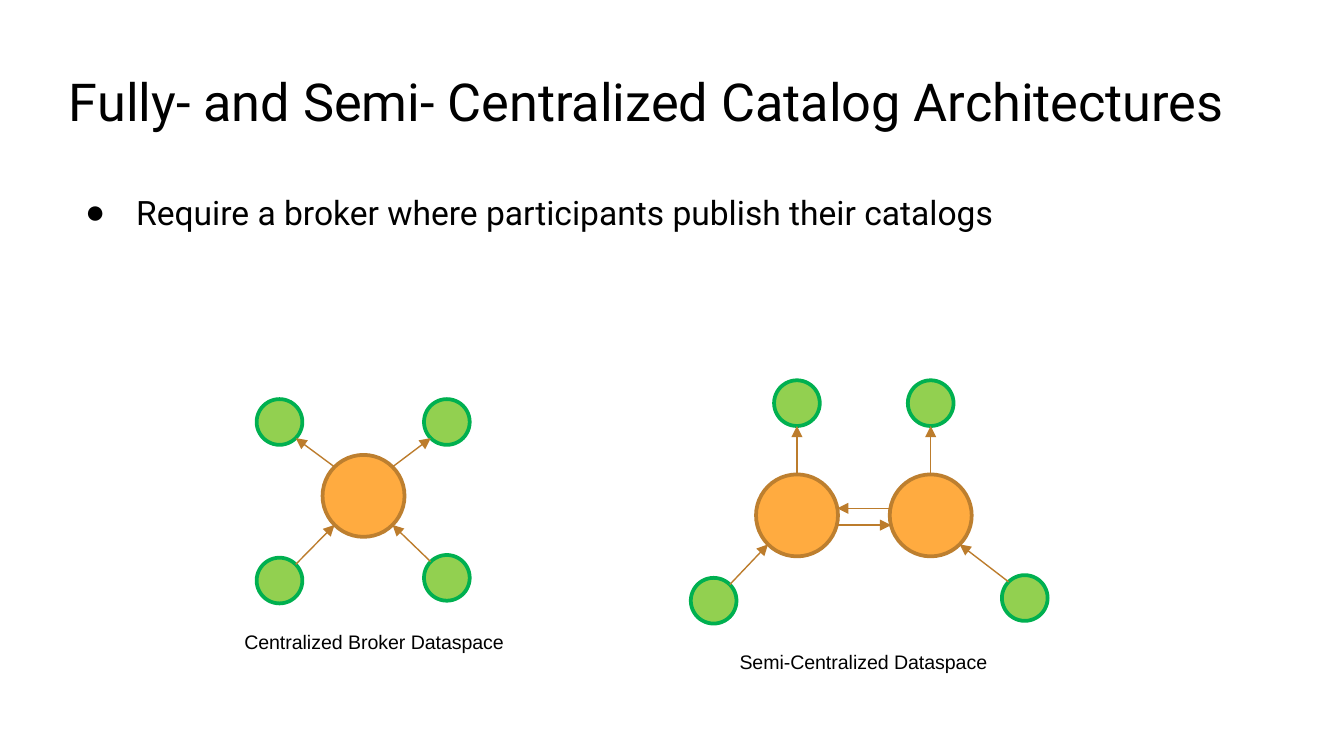
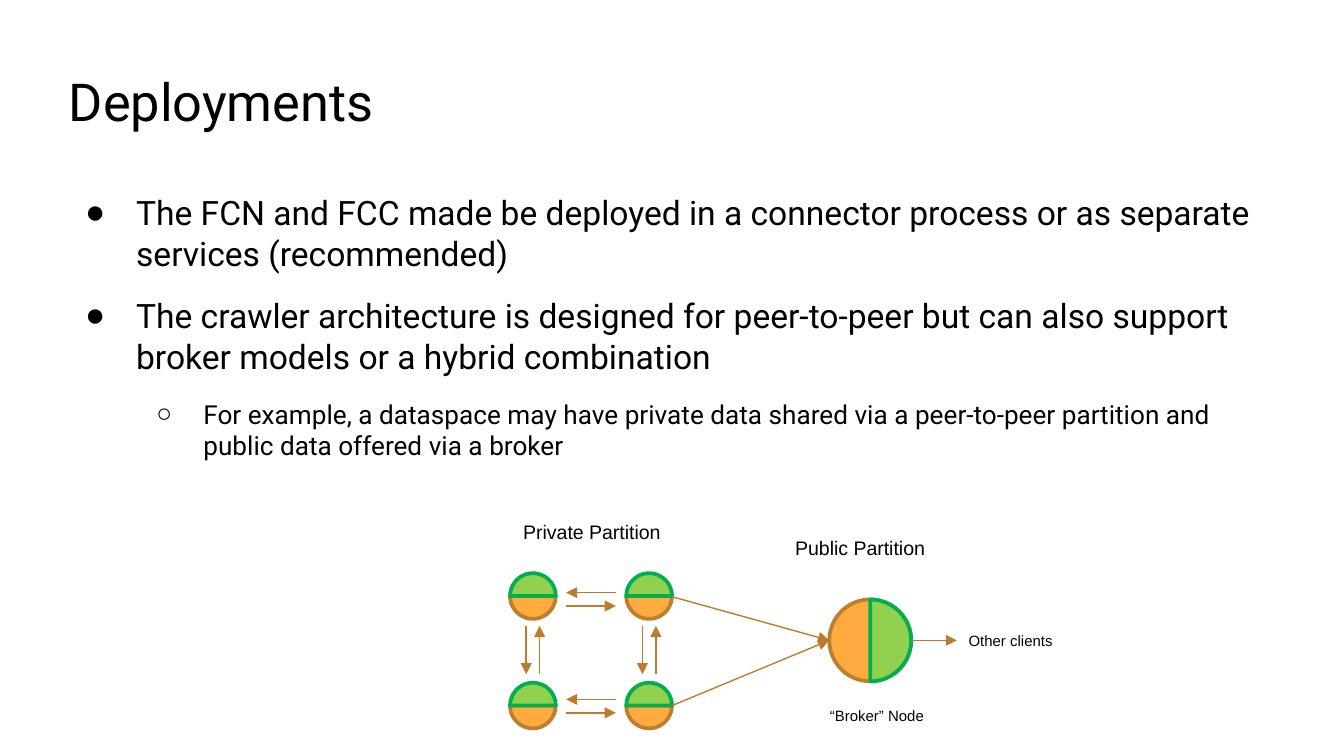
from dataclasses import dataclass
from math import sqrt

from pptx import Presentation
from pptx.dml.color import RGBColor
from pptx.enum.shapes import MSO_CONNECTOR as Connector, MSO_SHAPE as Shape
from pptx.enum.text import MSO_ANCHOR as Anchor, MSO_AUTO_SIZE as AutoSize, PP_ALIGN as Align
from pptx.oxml.ns import qn
from pptx.util import Inches, Pt
from lxml.etree import SubElement

COLORS = {
    "text": "000000",
    "background": "FFFFFF",
    "broker": "FFAB40",
    "broker_line": "BD7F2F",
    "participant": "92D050",
    "participant_line": "00B050",
    "arrow": "BC7C2C",
}
SLIDE_WIDTH, SLIDE_HEIGHT = 10, 5.625
CELL = SLIDE_WIDTH / 100
PARTICIPANT_SIZE, BROKER_SIZE = 3.4, 6.1
HALF_CIRCLE = 108
TITLE_BOX = (4.13, 4.15, 91.7, 3)
BODY_BOX = (4.15, 13.3, 91.7, 38.7)
LEVELS = [
    {"bullet": "\u25cf", "size": 18, "margin": 0.5, "indent": -0.38},
    {"bullet": "\u25cb", "size": 14, "margin": 1, "indent": -0.35},
]


def cells(*lengths):
    return [Inches(length * CELL) for length in lengths]


def color(name):
    return RGBColor.from_string(COLORS[name])


def set_values(target, values):
    for name, value in values.items():
        setattr(target, name, value)


def style_font(font, name, size):
    set_values(font, {"name": name, "size": Pt(size), "bold": False})
    font.color.rgb = color("text")


@dataclass
class Diagram:
    shapes: object
    left: float
    top: float

    def place(self, point):
        return self.left + point[0], self.top + point[1]

    def node(self, center, size, kind, preset=Shape.OVAL, rotation=0):
        x, y = self.place(center)
        shape = self.shapes.add_shape(preset, *cells(x - size / 2, y - size / 2, size, size))
        if preset == Shape.PIE:
            shape.adjustments[0] = 0
            shape.adjustments[1] = HALF_CIRCLE
        shape.rotation = rotation
        shape.shadow.inherit = False
        shape.fill.solid()
        shape.fill.fore_color.rgb = color(kind)
        shape.line.color.rgb = color(kind + "_line")
        shape.line.width = Pt(2)

    def broker(self, center):
        self.node(center, BROKER_SIZE, "broker")

    def participant(self, center):
        self.node(center, PARTICIPANT_SIZE, "participant")

    def peer(self, center):
        self.node(center, PARTICIPANT_SIZE, "broker", Shape.PIE)
        self.node(center, PARTICIPANT_SIZE, "participant", Shape.PIE, 180)

    def arrow(self, start, end):
        ends = cells(*self.place(start), *self.place(end))
        connector = self.shapes.add_connector(Connector.STRAIGHT, *ends)
        connector.line.color.rgb = color("arrow")
        connector.line.width = Pt(0.75)
        SubElement(connector.line._get_or_add_ln(), qn("a:tailEnd"), type="triangle")
        SubElement(connector._element.spPr, qn("a:effectLst"))

    def spoke(self, broker, participant, outward):
        steps = [(b > a) - (b < a) for a, b in zip(broker, participant)]
        reach = 1 / sqrt(sum(abs(step) for step in steps)) / 2
        inner = [a + step * reach * BROKER_SIZE for a, step in zip(broker, steps)]
        outer = [b - step * reach * PARTICIPANT_SIZE for b, step in zip(participant, steps)]
        self.arrow(*((inner, outer) if outward else (outer, inner)))

    def exchange(self, center, length, gap, vertical=False):
        x, y = center
        for side in (-1, 1):
            shift = side * gap / 2
            run = side * length / 2
            if vertical:
                self.arrow((x + shift, y + run), (x + shift, y - run))
            else:
                self.arrow((x - run, y + shift), (x + run, y + shift))

    def caption(self, text, center, width, size=10.5):
        height = 2.8 if size > 10 else 2.4
        x, y = self.place(center)
        box = self.shapes.add_textbox(*cells(x - width / 2, y - height / 2, width, height))
        frame = box.text_frame
        set_values(frame, {"word_wrap": False, "auto_size": AutoSize.SHAPE_TO_FIT_TEXT})
        paragraph = frame.paragraphs[0]
        paragraph.alignment = Align.CENTER
        run = paragraph.add_run()
        run.text = text
        style_font(run.font, "Arial", size)


def prepare_frame(frame):
    margins = ("margin_left", "margin_top", "margin_right", "margin_bottom")
    set_values(frame, dict.fromkeys(margins, Inches(0.1)))
    set_values(frame, {"word_wrap": True, "vertical_anchor": Anchor.TOP, "auto_size": AutoSize.NONE})


def add_title(slide, text):
    title = slide.shapes.title
    set_values(title, dict(zip(("left", "top", "width", "height"), cells(*TITLE_BOX))))
    prepare_frame(title.text_frame)
    paragraph = title.text_frame.paragraphs[0]
    set_values(paragraph, {"alignment": Align.LEFT, "line_spacing": 1.0})
    run = paragraph.add_run()
    run.text = text
    style_font(run.font, "Roboto", 28)


def add_bullets(slide, items):
    frame = slide.shapes.add_textbox(*cells(*BODY_BOX)).text_frame
    prepare_frame(frame)
    for index, (level, text) in enumerate(items):
        paragraph = frame.add_paragraph() if index else frame.paragraphs[0]
        style = LEVELS[level]
        set_values(paragraph, {"level": level, "space_before": Pt(12), "line_spacing": 1.0})
        properties = paragraph._p.get_or_add_pPr()
        properties.set("marL", str(Inches(style["margin"])))
        properties.set("indent", str(Inches(style["indent"])))
        bullet_color = SubElement(properties, qn("a:buClr"))
        SubElement(bullet_color, qn("a:srgbClr"), val=COLORS["text"])
        SubElement(properties, qn("a:buFont"), typeface="Arial")
        SubElement(properties, qn("a:buChar"), char=style["bullet"])
        run = paragraph.add_run()
        run.text = text
        style_font(run.font, "Roboto", style["size"])


def add_content_slide(presentation, title, items):
    slide = presentation.slides.add_slide(presentation.slide_layouts[5])
    slide.background.fill.solid()
    slide.background.fill.fore_color.rgb = color("background")
    add_bullets(slide, items)
    add_title(slide, title)
    return slide


def draw_centralized(slide, left, top):
    diagram = Diagram(slide.shapes.add_group_shape().shapes, left, top)
    broker = (10.05, 7.2)
    diagram.broker(broker)
    for participant in ((3.8, 1.7), (16.25, 1.7), (3.8, 13.5), (16.25, 13.3)):
        diagram.participant(participant)
        diagram.spoke(broker, participant, outward=participant[1] < broker[1])
    diagram.caption("Centralized Broker Dataspace", (10.85, 18.1), 21.7)


def draw_semi_centralized(slide, left, top):
    diagram = Diagram(slide.shapes.add_group_shape().shapes, left, top)
    row = 10.05
    for column, outer in ((7.9, (1.7, 16.4)), (17.85, (24.85, 16.2))):
        broker = (column, row)
        diagram.broker(broker)
        for participant in ((column, 1.7), outer):
            diagram.participant(participant)
            diagram.spoke(broker, participant, outward=participant[1] < row)
    diagram.exchange((12.9, row + 0.1), 4, 1.25)
    diagram.caption("Semi-Centralized Dataspace", (12.85, 20.95), 20.8)


def draw_private_partition(slide, left, top):
    diagram = Diagram(slide.shapes.add_group_shape().shapes, left, top)
    columns, rows = (1.75, 10.4), (6.15, 14.3)
    for row in rows:
        for column in columns:
            diagram.peer((column, row))
        diagram.exchange((sum(columns) / 2, row + 0.4 - row / 40), 3.7, 1)
    for column in columns:
        diagram.exchange((column, sum(rows) / 2 - 0.05), 3.6, 1, vertical=True)
    diagram.caption("Private Partition", (6.15, 1.4), 12.4)


def draw_public_partition(slide, left, top):
    diagram = Diagram(slide.shapes, left, top)
    center = (14.75, 8.25)
    edge = (center[0] - BROKER_SIZE / 2, center[1])
    diagram.broker(center)
    diagram.node(center, BROKER_SIZE, "participant", Shape.PIE, 270)
    for row in (5, 13.1):
        diagram.arrow((0, row), edge)
    exit_column = center[0] + BROKER_SIZE / 2
    diagram.arrow((exit_column, center[1]), (exit_column + 3.4, center[1]))
    diagram.caption("Public Partition", (14, 1.4), 11.9)
    diagram.caption("Other clients", (25.2, 8.3), 8.3, 8)
    diagram.caption("\u201cBroker\u201d Node", (15.25, 13.9), 9.1, 8)


presentation = Presentation()
presentation.slide_width = Inches(SLIDE_WIDTH)
presentation.slide_height = Inches(SLIDE_HEIGHT)

architectures = add_content_slide(
    presentation,
    "Fully- and Semi- Centralized Catalog Architectures",
    [(0, "Require a broker where participants publish their catalogs")],
)
draw_semi_centralized(architectures, 51.4, 28.3)
draw_centralized(architectures, 17, 29.7)

deployments = add_content_slide(
    presentation,
    "Deployments",
    [
        (0, "The FCN and FCC made be deployed in a connector process or as separate "
            "services (recommended)"),
        (0, "The crawler architecture is designed for peer-to-peer but can also support "
            "broker models or a hybrid combination"),
        (1, "For example, a dataspace may have private data shared via a peer-to-peer "
            "partition and public data offered via a broker"),
    ],
)
draw_private_partition(deployments, 37.9, 38.2)
draw_public_partition(deployments, 50, 39.4)

presentation.save("out.pptx")
